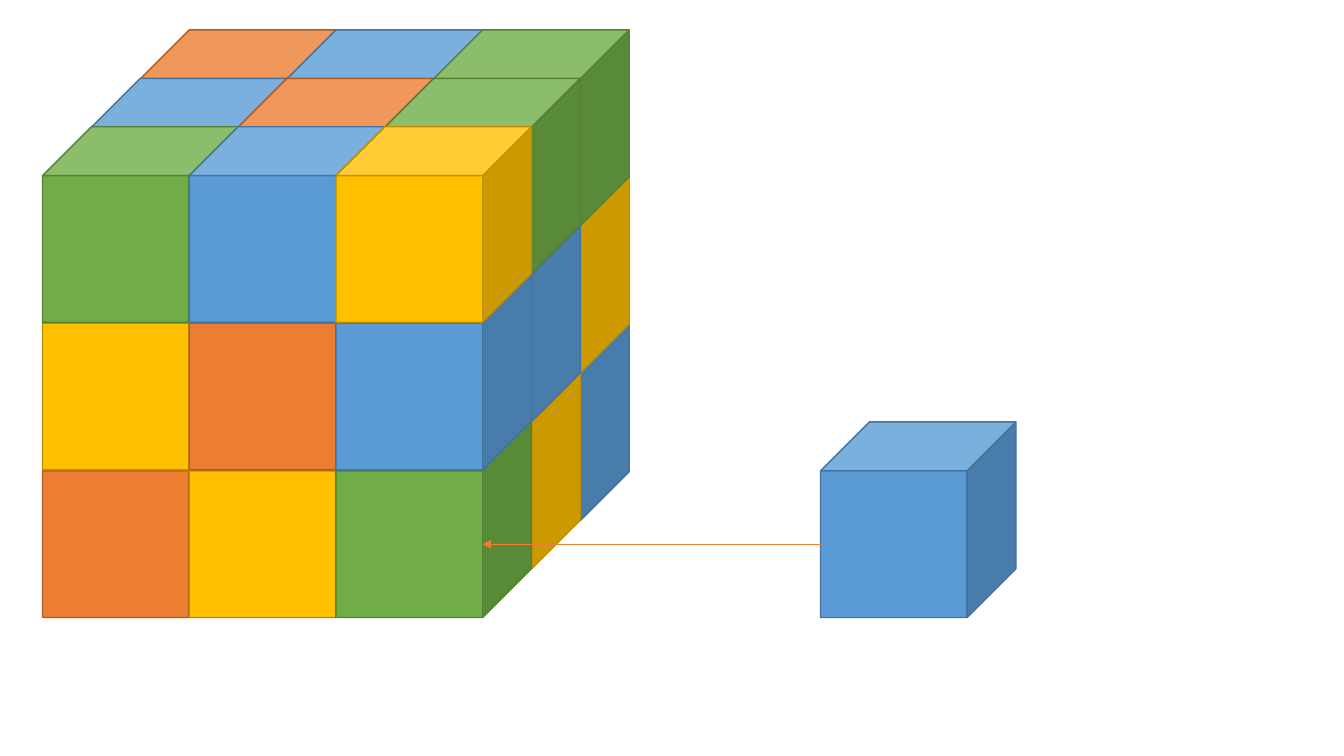
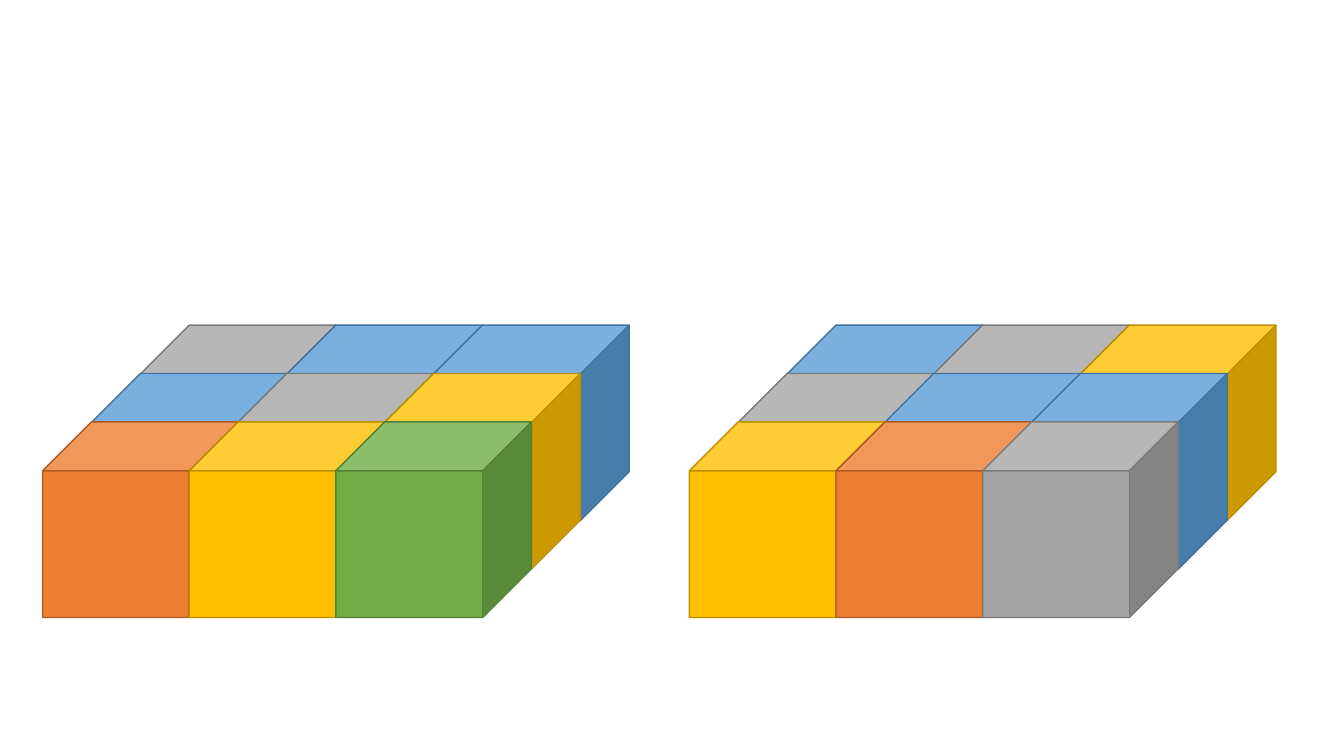
from lxml.etree import SubElement
from pptx import Presentation
from pptx.dml.color import RGBColor
from pptx.enum.shapes import MSO_CONNECTOR, MSO_SHAPE
from pptx.oxml.ns import qn
from pptx.util import Pt

# Fill and line of each cube colour
PAINT = {
    "B": ("5B9BD5", "43739E"),
    "O": ("ED7D31", "AF5C24"),
    "Y": ("FFC000", "BD8E00"),
    "G": ("70AD47", "538035"),
    "S": ("A5A5A5", "7A7A7A"),
}
ARROW = "ED7D31"

SIZE = 139.7
EDGE = SIZE * 0.75
DEPTH = SIZE - EDGE
RISE = 34.6
LAYER = 105.4
LEFT, TOP = 30.4, 301.4
RIGHT = 492.4
LOOSE = 586.1


def color(code):
    return RGBColor.from_string(code)


class Deck:
    def __init__(self):
        self.prs = Presentation()
        self.prs.slide_width, self.prs.slide_height = Pt(960), Pt(540)
        self.slide = None

    def page(self):
        self.slide = self.prs.slides.add_slide(self.prs.slide_layouts[6])

    def cube(self, x, y, key, shapes=None):
        shapes = self.slide.shapes if shapes is None else shapes
        cube = shapes.add_shape(MSO_SHAPE.CUBE, Pt(x), Pt(y), Pt(SIZE), Pt(SIZE))
        fill, line = PAINT[key]
        cube.shadow.inherit = False
        cube.fill.solid()
        cube.fill.fore_color.rgb = color(fill)
        cube.line.color.rgb = color(line)
        cube.line.width = Pt(1)

    def block(self, left, rows, shapes=None):
        """Stack cubes: rows run back to front, each word is a column from the bottom up."""
        for row, words in enumerate(rows):
            back = len(rows) - 1 - row
            for col, word in enumerate(words.split()):
                for layer, key in enumerate(word):
                    x = left + col * EDGE + back * DEPTH
                    y = TOP - back * RISE - layer * LAYER
                    self.cube(x, y, key, shapes)

    def arrow(self, x1, x2, y):
        line = self.slide.shapes.add_connector(
            MSO_CONNECTOR.STRAIGHT, Pt(x1), Pt(y), Pt(x2), Pt(y))
        line.line.color.rgb = color(ARROW)
        line.line.width = Pt(0.5)
        SubElement(line.line._get_or_add_ln(), qn("a:tailEnd"), type="triangle")
        SubElement(line._element.spPr, qn("a:effectLst"))


def main():
    deck = Deck()

    deck.page()
    group = deck.slide.shapes.add_group_shape()
    deck.block(LEFT, ["BBO BBB BYG", "BBB BBO YBG", "OYG YOB GBY"], group.shapes)
    deck.cube(LOOSE, TOP, "B")
    deck.arrow(LOOSE, LEFT + 3 * EDGE, TOP + DEPTH + EDGE / 2)

    deck.page()
    deck.block(LEFT, ["S B B", "B S Y", "O Y G"])
    deck.block(RIGHT, ["B S Y", "S B B", "Y O S"])

    deck.prs.save("out.pptx")


if __name__ == "__main__":
    main()
